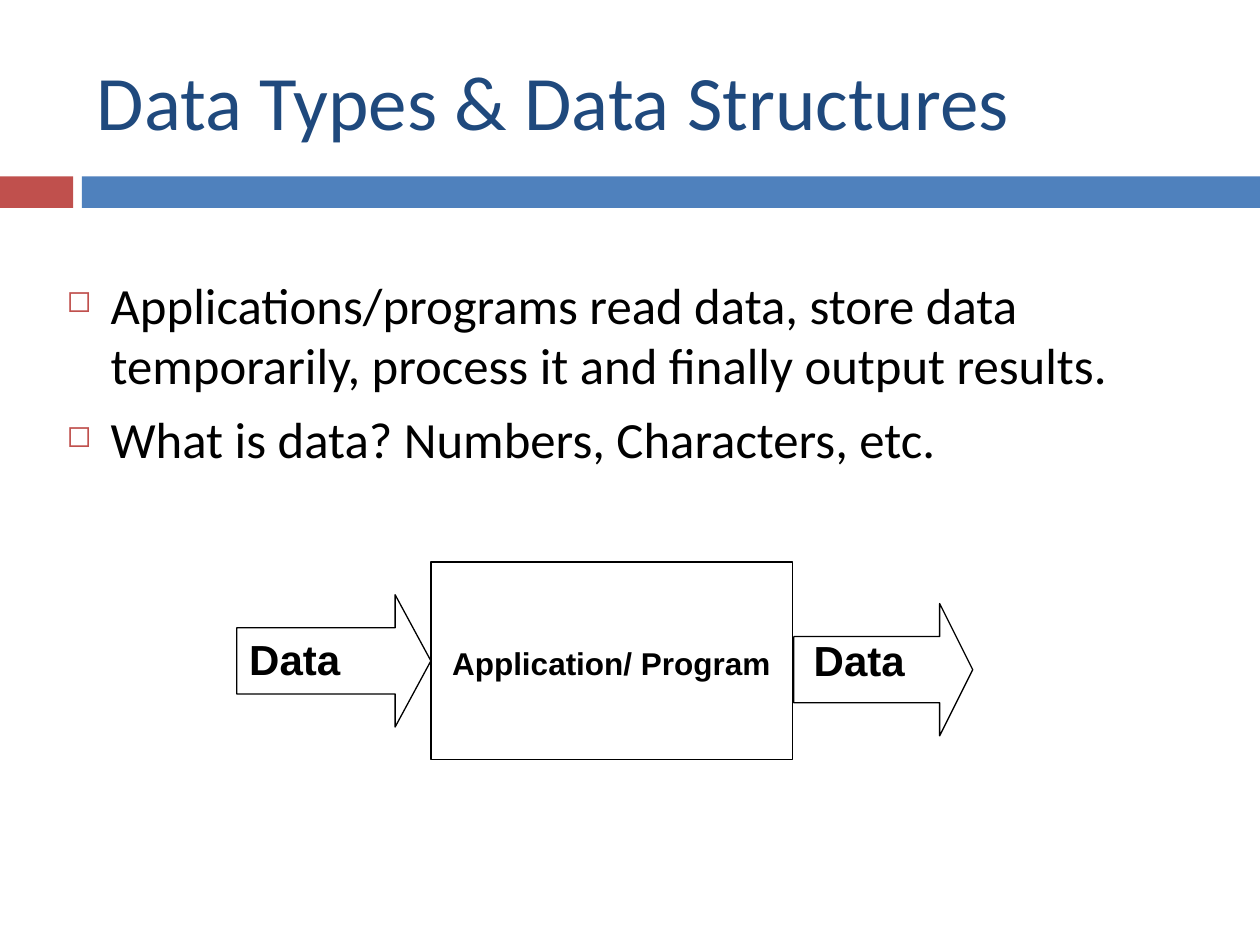
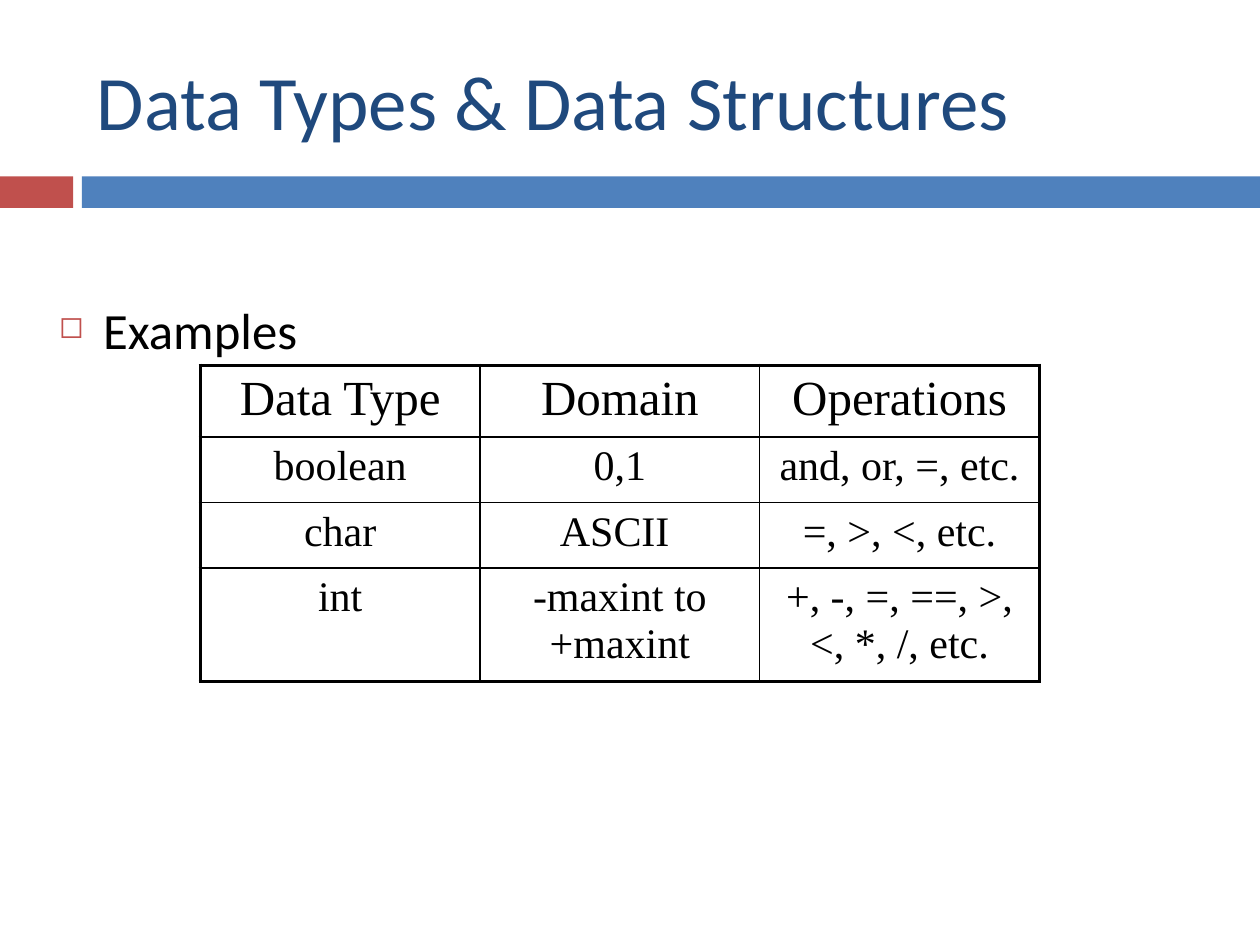
from lxml import etree
from pptx import Presentation
from pptx.dml.color import RGBColor
from pptx.enum.shapes import MSO_SHAPE
from pptx.enum.text import MSO_ANCHOR, PP_ALIGN
from pptx.oxml.ns import qn
from pptx.util import Inches, Pt

RECTANGLE = MSO_SHAPE.RECTANGLE
RIGHT_ARROW = MSO_SHAPE.RIGHT_ARROW
TOP, MIDDLE = MSO_ANCHOR.TOP, MSO_ANCHOR.MIDDLE
LEFT, CENTER = PP_ALIGN.LEFT, PP_ALIGN.CENTER

COLORS = {"title": "1F497D", "accent": "C0504D", "band": "4F81BD", "ink": "000000"}
TITLE = "Data Types & Data Structures"
STATEMENTS = [
    "Applications/programs read data, store data temporarily, process it and finally output results.",
    "What is data? Numbers, Characters, etc.",
]
TYPE_ROWS = [
    ["Data Type", "Domain", "Operations"],
    ["boolean", "0,1", "and, or, =, etc."],
    ["char", "ASCII ", "=, >, <, etc."],
    ["int", "-maxint to +maxint", "+, -, =, ==, >, <, *, /, etc."],
]
ROW_HEIGHTS = [0.57, 0.52, 0.52, 0.9]
COLUMN_WIDTH = 2.22
OUTER_LINE, INNER_LINE = 2.25, 1


def color(name):
    """Return the named palette colour."""
    return RGBColor.from_string(COLORS[name])


def add_bullet(paragraph):
    """Give a paragraph a hanging square bullet."""
    properties = paragraph._p.get_or_add_pPr()
    properties.set("marL", str(Inches(0.35)))
    properties.set("indent", str(Inches(-0.35)))
    bullet_color = etree.SubElement(properties, qn("a:buClr"))
    etree.SubElement(bullet_color, qn("a:srgbClr"), val=COLORS["accent"])
    etree.SubElement(properties, qn("a:buSzPct"), val="60000")
    etree.SubElement(properties, qn("a:buChar"), char="◻")


def write_text(frame, *texts, size, font="Calibri", ink="ink", bold=False,
               align=LEFT, anchor=TOP, bullet=False, space_before=0):
    """Fill a text frame with one formatted paragraph per text."""
    frame.word_wrap = True
    frame.vertical_anchor = anchor
    for index, text in enumerate(texts):
        paragraph = frame.add_paragraph() if index else frame.paragraphs[0]
        paragraph.text = text
        if bullet:
            add_bullet(paragraph)
        paragraph.alignment = align
        paragraph.space_before = Pt(space_before if index else 0)
        paragraph.font.name = font
        paragraph.font.size = Pt(size)
        paragraph.font.bold = bold
        paragraph.font.color.rgb = color(ink)


def add_text(slide, box, *texts, **text_format):
    """Add a text box at box (left, top, width, height)."""
    text_box = slide.shapes.add_textbox(*map(Inches, box))
    write_text(text_box.text_frame, *texts, **text_format)


def add_block(slide, kind, box, fill=None, line=None):
    """Add a preset shape with an optional fill and thin outline."""
    shape = slide.shapes.add_shape(kind, *map(Inches, box))
    shape.shadow.inherit = False
    if fill:
        shape.fill.solid()
        shape.fill.fore_color.rgb = color(fill)
    else:
        shape.fill.background()
    if line:
        shape.line.color.rgb = color(line)
        shape.line.width = Pt(0.75)
    else:
        shape.line.fill.background()
    return shape


def add_titled_slide(presentation):
    """Add a blank slide with the shared bands and title."""
    slide = presentation.slides.add_slide(presentation.slide_layouts[6])
    add_block(slide, RECTANGLE, (0, 1.4, 0.58, 0.25), fill="accent")
    add_block(slide, RECTANGLE, (0.65, 1.4, 9.35, 0.25), fill="band")
    add_text(slide, (0.67, 0.25, 8.92, 1.08), TITLE, size=44, ink="title", anchor=MIDDLE)
    return slide


def add_body(slide, box, *texts):
    """Add the bulleted body text."""
    add_text(slide, box, *texts, size=29, bullet=True, space_before=7)


def add_data_flow(slide, left, top):
    """Draw data entering and leaving a program."""
    add_block(slide, RECTANGLE, (left + 1.54, top, 2.87, 1.57), line="ink")
    arrows = [((left, top + 0.26, 1.54, 1.05), 0.27),
              ((left + 4.42, top + 0.33, 1.42, 1.05), 0.25)]
    for box, head in arrows:
        arrow = add_block(slide, RIGHT_ARROW, box, line="ink")
        arrow.adjustments[0] = 0.5
        arrow.adjustments[1] = head
    labels = [("Application/ Program", (left + 1.61, top + 0.6, 3.43, 0.42), 18),
              ("Data", (left, top + 0.52, 1.26, 0.52), 24),
              ("Data", (left + 4.48, top + 0.53, 1.26, 0.52), 24)]
    for text, box, size in labels:
        add_text(slide, box, text, size=size, font="Arial", bold=True)


def set_borders(cell, widths):
    """Draw cell borders from a mapping of side letter to points."""
    properties = cell._tc.get_or_add_tcPr()
    for side, width in widths.items():
        line = etree.SubElement(properties, qn(f"a:ln{side}"), w=str(Pt(width)))
        fill = etree.SubElement(line, qn("a:solidFill"))
        etree.SubElement(fill, qn("a:srgbClr"), val=COLORS["ink"])


def add_type_table(slide, left, top):
    """Add the table of data types with a heavy outer frame."""
    row_count, column_count = len(TYPE_ROWS), len(TYPE_ROWS[0])
    box = (left, top, COLUMN_WIDTH * column_count, sum(ROW_HEIGHTS))
    table = slide.shapes.add_table(row_count, column_count, *map(Inches, box)).table
    table.first_row = table.horz_banding = False
    for column in table.columns:
        column.width = Inches(COLUMN_WIDTH)
    for row, (height, texts) in enumerate(zip(ROW_HEIGHTS, TYPE_ROWS)):
        table.rows[row].height = Inches(height)
        for column, text in enumerate(texts):
            cell = table.cell(row, column)
            write_text(cell.text_frame, text, size=24 if row else 28,
                       font="Times New Roman", align=CENTER)
            outer_sides = {"L": column == 0, "R": column == column_count - 1,
                           "T": row == 0, "B": row == row_count - 1}
            set_borders(cell, {side: OUTER_LINE if outer else INNER_LINE
                               for side, outer in outer_sides.items()})
            cell.fill.background()


def build_data_flow_slide(presentation):
    """Build the slide on what programs do with data."""
    slide = add_titled_slide(presentation)
    add_body(slide, (0.43, 2.12, 9.16, 4.54), *STATEMENTS)
    add_data_flow(slide, 1.88, 4.46)


def build_examples_slide(presentation):
    """Build the slide with example data types."""
    slide = add_titled_slide(presentation)
    add_body(slide, (0.37, 2.32, 9.37, 3.49), "Examples")
    add_type_table(slide, 1.59, 2.9)


def main():
    """Build and save the presentation."""
    presentation = Presentation()
    presentation.slide_width = Inches(10)
    presentation.slide_height = Inches(7.5)
    build_data_flow_slide(presentation)
    build_examples_slide(presentation)
    presentation.save("out.pptx")


if __name__ == "__main__":
    main()
